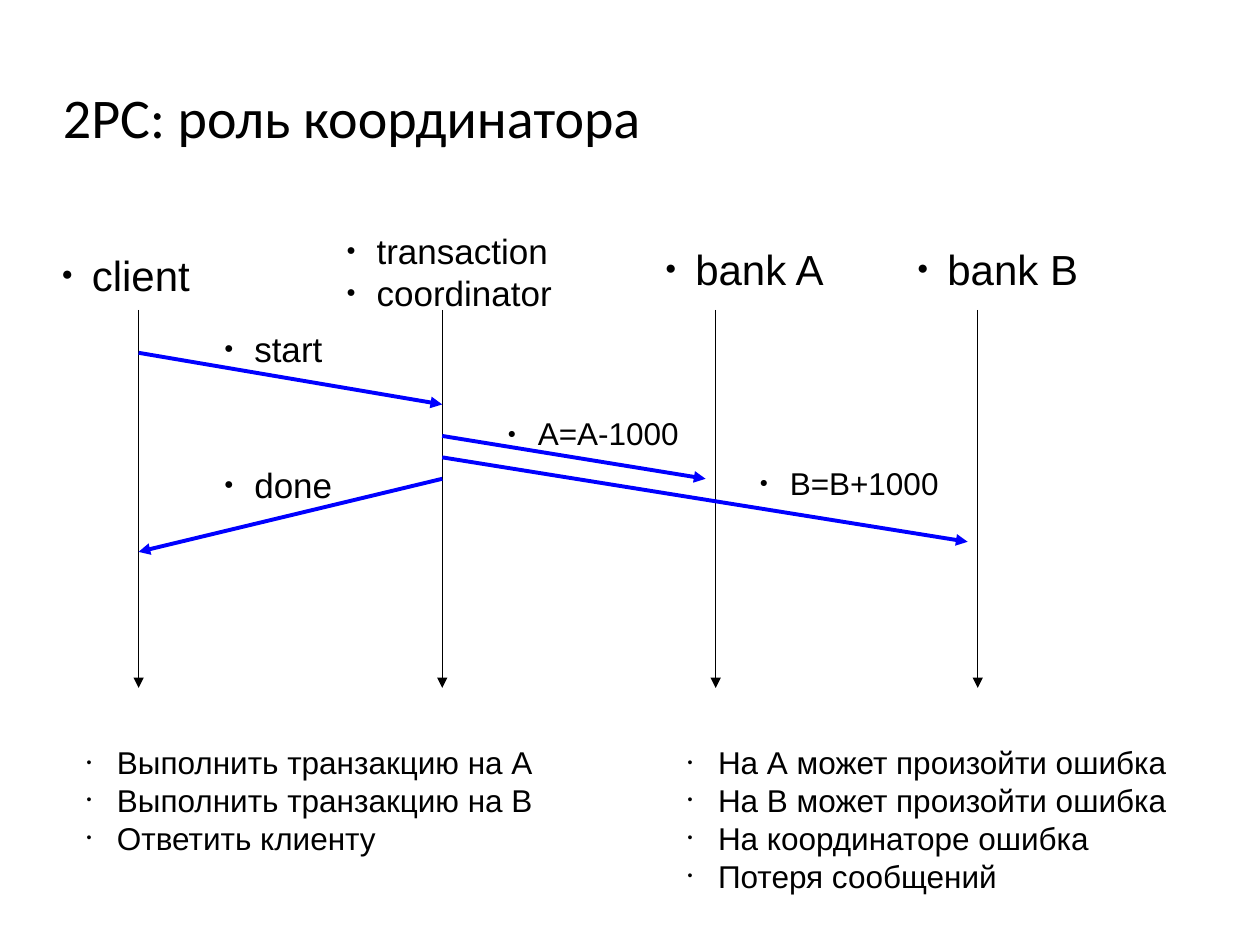
from lxml import etree
from pptx import Presentation
from pptx import util as u
from pptx.dml.color import RGBColor
from pptx.enum import shapes, text
from pptx.oxml.ns import qn

BLACK = RGBColor(0x00, 0x00, 0x00)
BLUE = RGBColor(0x00, 0x00, 0xFF)


class Deck:
    """Style and current slide, with one method per kind of element."""

    body_font, title_font = "Arial", "Calibri"
    indent = u.Inches(0.24)

    def __init__(self, prs):
        self.s = prs.slides.add_slide(prs.slide_layouts[6])

    def run(self, p, words, size, font):
        r = p.add_run()
        r.text = words
        r.font.size, r.font.name = u.Pt(size), font
        r.font.color.rgb = BLACK

    def title(self, words, x, y, w, h):
        sp = self.s.shapes.add_textbox(*map(u.Inches, (x, y, w, h)))
        tf = sp.text_frame
        tf.word_wrap = True
        tf.vertical_anchor = text.MSO_ANCHOR.MIDDLE
        tf.margin_left = tf.margin_right = tf.margin_top = tf.margin_bottom = 0
        self.run(tf.paragraphs[0], words, 32, self.title_font)

    def bullet(self, p, char):
        pPr = p._p.get_or_add_pPr()
        pPr.set("marL", str(self.indent))
        pPr.set("indent", str(-self.indent))
        color = etree.SubElement(pPr, qn("a:buClr"))
        etree.SubElement(color, qn("a:srgbClr"), val=str(BLACK))
        etree.SubElement(pPr, qn("a:buSzPct"), val="45000")
        etree.SubElement(pPr, qn("a:buFont"), typeface=self.body_font)
        etree.SubElement(pPr, qn("a:buChar"), char=char)

    def bullets(self, lines, x, y, w, h, size, char="●"):
        sp = self.s.shapes.add_textbox(*map(u.Inches, (x, y, w, h)))
        tf = sp.text_frame
        tf.word_wrap = True
        tf.auto_size = text.MSO_AUTO_SIZE.NONE
        tf.margin_right = 0  # leaves each line room to stay whole
        for i, line in enumerate(lines):
            p = tf.add_paragraph() if i else tf.paragraphs[0]
            self.bullet(p, char)
            self.run(p, line, size, self.body_font)

    def arrow(self, x1, y1, x2, y2, color, width):
        c = self.s.shapes.add_connector(
            shapes.MSO_CONNECTOR.STRAIGHT, *map(u.Inches, (x1, y1, x2, y2)))
        c.line.color.rgb, c.line.width = color, u.Pt(width)
        etree.SubElement(c.line._get_or_add_ln(), qn("a:tailEnd"), type="triangle")
        etree.SubElement(c._element.spPr, qn("a:effectLst"))


def main():
    prs = Presentation()
    prs.slide_width, prs.slide_height = u.Inches(10), u.Inches(7.5)
    d = Deck(prs)
    d.title("2PC: роль координатора", 0.5, 0.3, 9, 1.25)

    # Lifelines
    client, coordinator, bank_a, bank_b = lifelines = 1.1, 3.51, 5.68, 7.76
    for x in lifelines:
        d.arrow(x, 2.46, x, 5.46, BLACK, 0.75)

    # Participants
    d.bullets(["client"], 0.39, 1.93, 1.23, 0.5, 24)
    d.bullets(["transaction", "coordinator"], 2.65, 1.77, 1.85, 0.77, 20)
    d.bullets(["bank A"], 5.18, 1.88, 1.47, 0.5, 24)
    d.bullets(["bank B"], 7.18, 1.88, 1.49, 0.5, 24)

    # Messages; those to the banks stop just short of the lifeline
    gap = 0.08
    for x1, y1, x2, y2 in [
        (client, 2.8, coordinator, 3.21),
        (coordinator, 3.46, bank_a - gap, 3.8),
        (coordinator, 3.63, bank_b - gap, 4.3),
        (coordinator, 3.8, client, 4.38),
    ]:
        d.arrow(x1, y1, x2, y2, BLUE, 2.25)

    # Message labels
    d.bullets(["start"], 1.68, 2.55, 1, 0.44, 20)
    d.bullets(["done"], 1.68, 3.63, 1.07, 0.44, 20)
    d.bullets(["A=A-1000"], 3.93, 3.24, 1.57, 0.4, 18)
    d.bullets(["B=B+1000"], 5.93, 3.63, 1.64, 0.4, 18)

    # Coordinator steps and possible failures
    d.bullets(["Выполнить транзакцию на А", "Выполнить транзакцию на B",
               "Ответить клиенту"], 0.59, 5.85, 3.76, 0.94, 18, "•")
    d.bullets(["На А может произойти ошибка", "На B может произойти ошибка",
               "На координаторе ошибка", "Потеря сообщений"],
              5.36, 5.85, 4.01, 1.22, 18, "•")

    prs.save("out.pptx")


if __name__ == "__main__":
    main()
